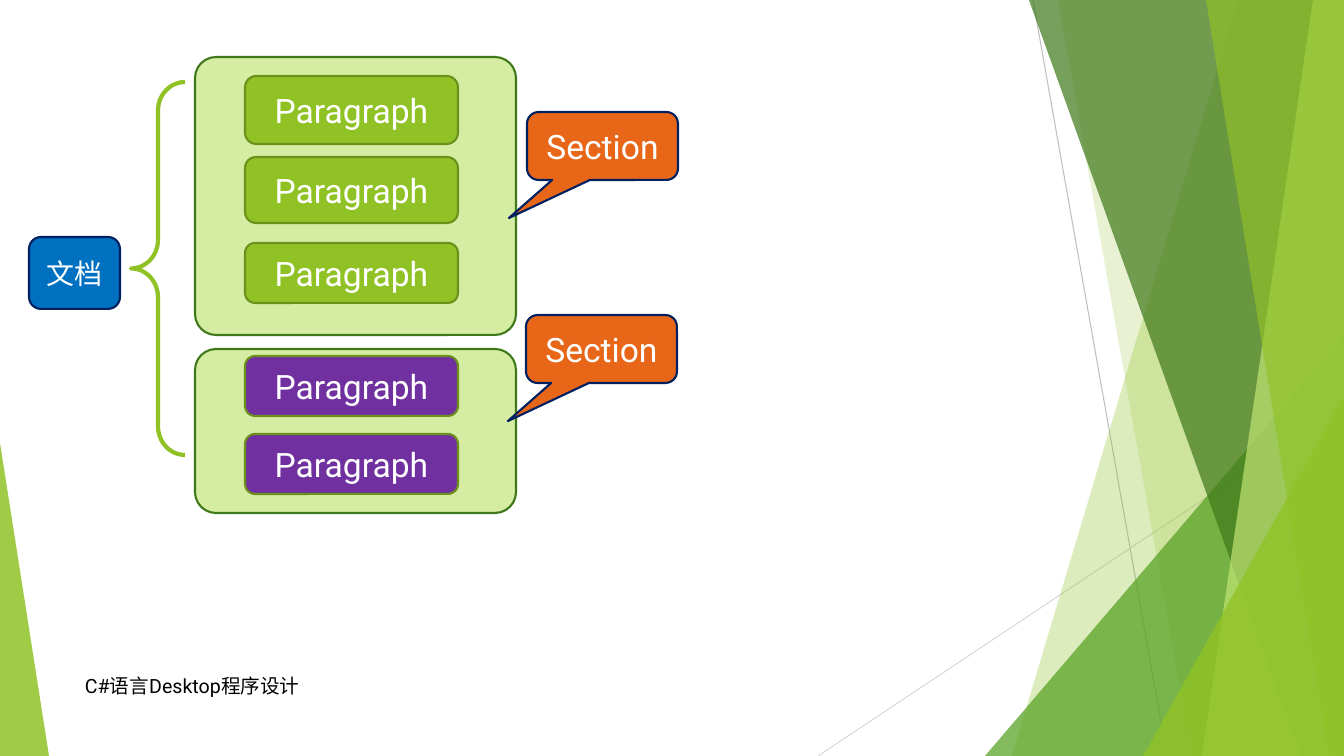
from lxml import etree
from pptx import Presentation
from pptx.dml.color import RGBColor
from pptx.enum.shapes import MSO_CONNECTOR, MSO_SHAPE
from pptx.enum.text import MSO_ANCHOR, PP_ALIGN
from pptx.oxml.ns import qn
from pptx.util import Pt

STRAIGHT = MSO_CONNECTOR.STRAIGHT
TRIANGLE, BRACE = MSO_SHAPE.ISOSCELES_TRIANGLE, MSO_SHAPE.LEFT_BRACE
ROUNDED, CALLOUT = MSO_SHAPE.ROUNDED_RECTANGLE, MSO_SHAPE.ROUNDED_RECTANGULAR_CALLOUT
MIDDLE, LEFT, CENTER = MSO_ANCHOR.MIDDLE, PP_ALIGN.LEFT, PP_ALIGN.CENTER

BLACK, WHITE = RGBColor(0, 0, 0), RGBColor(255, 255, 255)
GRAY, PALE_GRAY = RGBColor(0xBF, 0xBF, 0xBF), RGBColor(0xD9, 0xD9, 0xD9)
LIME, GREEN = RGBColor(0x90, 0xC2, 0x26), RGBColor(0x54, 0xA0, 0x21)
DARK_GREEN, LIGHT_LIME = RGBColor(0x3F, 0x78, 0x19), RGBColor(0xC0, 0xE4, 0x74)
PALE_LIME, OLIVE = RGBColor(0xD5, 0xED, 0xA2), RGBColor(0x6B, 0x90, 0x1C)
BLUE, NAVY = RGBColor(0, 0x70, 0xC0), RGBColor(0, 0x20, 0x60)
ORANGE, PURPLE = RGBColor(0xE7, 0x66, 0x18), RGBColor(0x70, 0x30, 0xA0)

FONT = "Roboto"
WIDTH, HEIGHT = 1344, 756
SCALE = 914400 / 100.8

# Content: boxes are left, top, width, height in px
FOOTER = ("C#语言Desktop程序设计", (75, 666, 695, 40))
DOCUMENT = ("文档", (29, 237, 91, 72))
BRACE_BOX, BRACE_CURVE = (131, 82, 54, 373), 0.53
SECTION_LEFT, SECTION_WIDTH, SECTION_RADIUS = 195, 321, 21
PARAGRAPH_LEFT, PARAGRAPH_WIDTH = 245, 213
SECTIONS = [
    {"top": 57, "height": 278, "color": LIME, "callout": (527, 112),
     "paragraphs": [(76, 68), (157, 66), (243, 60)]},
    {"top": 349, "height": 164, "color": PURPLE, "callout": (526, 315),
     "paragraphs": [(356, 60), (434, 60)]},
]
CALLOUT_SIZE, CALLOUT_TAIL = (151, 68), (-0.62, 1.06, 0.17)

# Backdrop: rays are start, end, colour; a band runs from its left edge to the slide's right side
RAYS = [((1033, 0), (1167, HEIGHT), GRAY), ((WIDTH, 406), (818, HEIGHT), PALE_GRAY)]
BACKDROP = [
    ("band", (1238, 1012), LIME, 30),
    ("band", (1058, 1192), LIME, 20),
    ("triangle", (985, 336, 359, 420), 1, GREEN, 72),
    ("band", (1029, 1301), DARK_GREEN, 70),
    ("band", (1313, 1202), LIGHT_LIME, 70),
    ("band", (1206, 1329), LIME, 65),
    ("triangle", (1143, 396, 201, 360), 1, LIME, 80),
    ("triangle", (0, 443, 49, 313), 0, LIME, 85),
]


def emu(*lengths):
    return [round(length * SCALE) for length in lengths]


def write(shape, text, size=24, color=WHITE, align=CENTER):
    frame = shape.text_frame
    frame.word_wrap = True
    frame.vertical_anchor = MIDDLE
    paragraph = frame.paragraphs[0]
    paragraph.alignment = align
    run = paragraph.add_run()
    run.text = text
    run.font.name, run.font.size, run.font.color.rgb = FONT, Pt(size), color


def paint(shape, fill=None, line=None, weight=1.5, opacity=100):
    shape.shadow.inherit = False
    if fill is None:
        shape.fill.background()
    else:
        shape.fill.solid()
        shape.fill.fore_color.rgb = fill
        if opacity < 100:
            color = shape.fill._xPr.find(qn("a:solidFill"))[0]
            etree.SubElement(color, qn("a:alpha")).set("val", str(opacity * 1000))
    if line is None:
        shape.line.fill.background()
    else:
        shape.line.color.rgb = line
        shape.line.width = Pt(weight)


def draw(kind, box, adjust=(), **look):
    shape = slide.shapes.add_shape(kind, *emu(*box))
    for index, value in enumerate(adjust):
        shape.adjustments[index] = value
    paint(shape, **look)
    return shape


prs = Presentation()
prs.slide_width, prs.slide_height = emu(WIDTH, HEIGHT)
slide = prs.slides.add_slide(prs.slide_layouts[6])

# Backdrop
for start, end, color in RAYS:
    ray = slide.shapes.add_connector(STRAIGHT, *emu(*start, *end))
    ray.line.color.rgb, ray.line.width = color, Pt(0.75)
    etree.SubElement(ray._element.spPr, qn("a:effectLst"))

for kind, place, *style in BACKDROP:
    if kind == "band":
        top_x, bottom_x = place
        color, opacity = style
        outline = slide.shapes.build_freeform(top_x, 0, scale=SCALE)
        outline.add_line_segments([(WIDTH, 0), (WIDTH, HEIGHT), (bottom_x, HEIGHT)], close=True)
        paint(outline.convert_to_shape(), fill=color, opacity=opacity)
    else:
        apex, color, opacity = style
        draw(TRIANGLE, place, [apex], fill=color, opacity=opacity)

# Footer
footer_text, footer_box = FOOTER
write(slide.shapes.add_textbox(*emu(*footer_box)), footer_text, size=14, color=BLACK, align=LEFT)

# Document and its brace
draw(BRACE, BRACE_BOX, [BRACE_CURVE, 0.5], line=LIME, weight=3)
document_text, document_box = DOCUMENT
write(draw(ROUNDED, document_box, fill=BLUE, line=NAVY), document_text, size=20)

# Sections with their paragraphs and callouts
for section in SECTIONS:
    height = section["height"]
    draw(ROUNDED, (SECTION_LEFT, section["top"], SECTION_WIDTH, height),
         [SECTION_RADIUS / height], fill=PALE_LIME, line=DARK_GREEN)
    for top, paragraph_height in section["paragraphs"]:
        box = (PARAGRAPH_LEFT, top, PARAGRAPH_WIDTH, paragraph_height)
        write(draw(ROUNDED, box, fill=section["color"], line=OLIVE), "Paragraph")
    callout = draw(CALLOUT, section["callout"] + CALLOUT_SIZE, CALLOUT_TAIL, fill=ORANGE, line=NAVY)
    write(callout, "Section")

prs.save("out.pptx")
